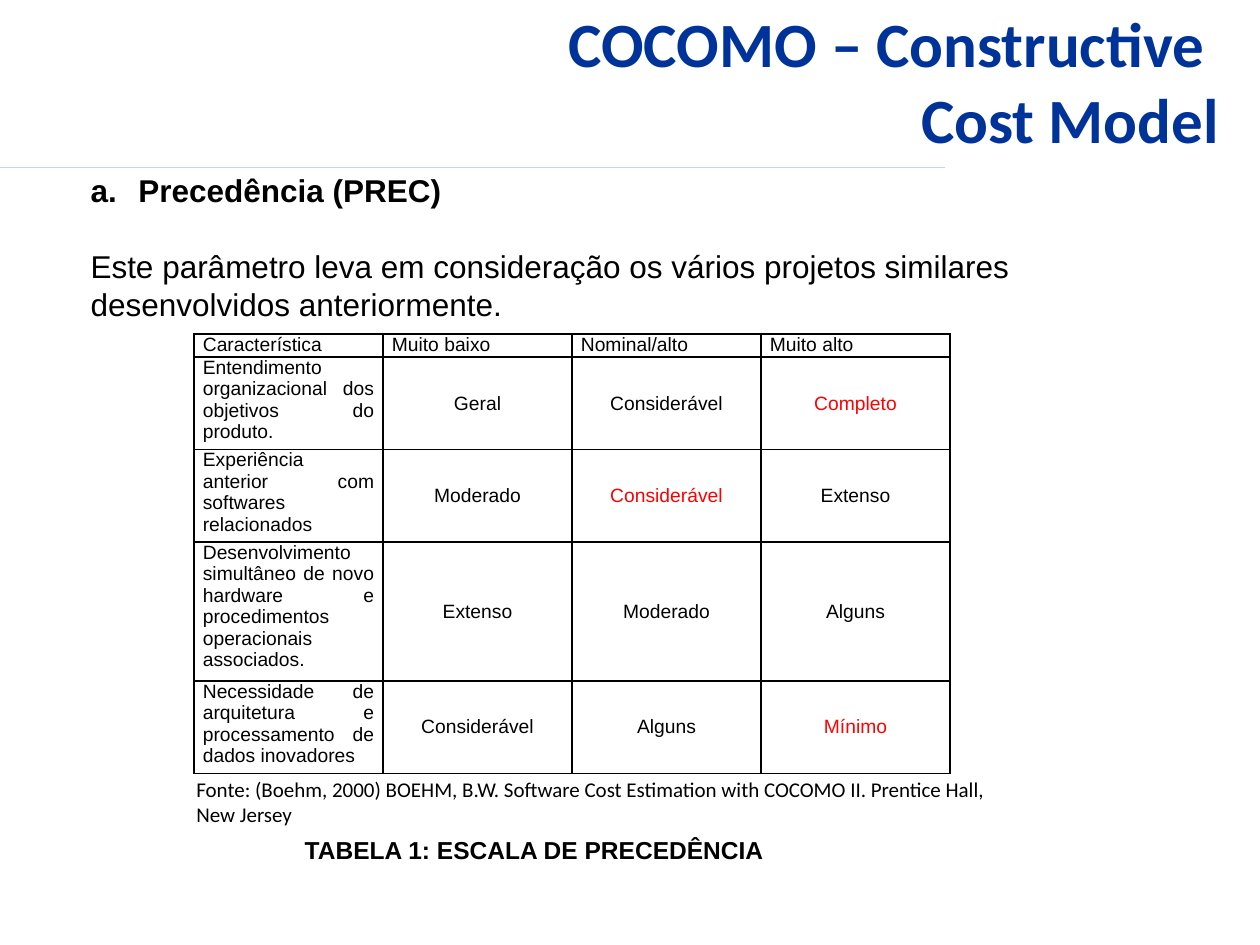
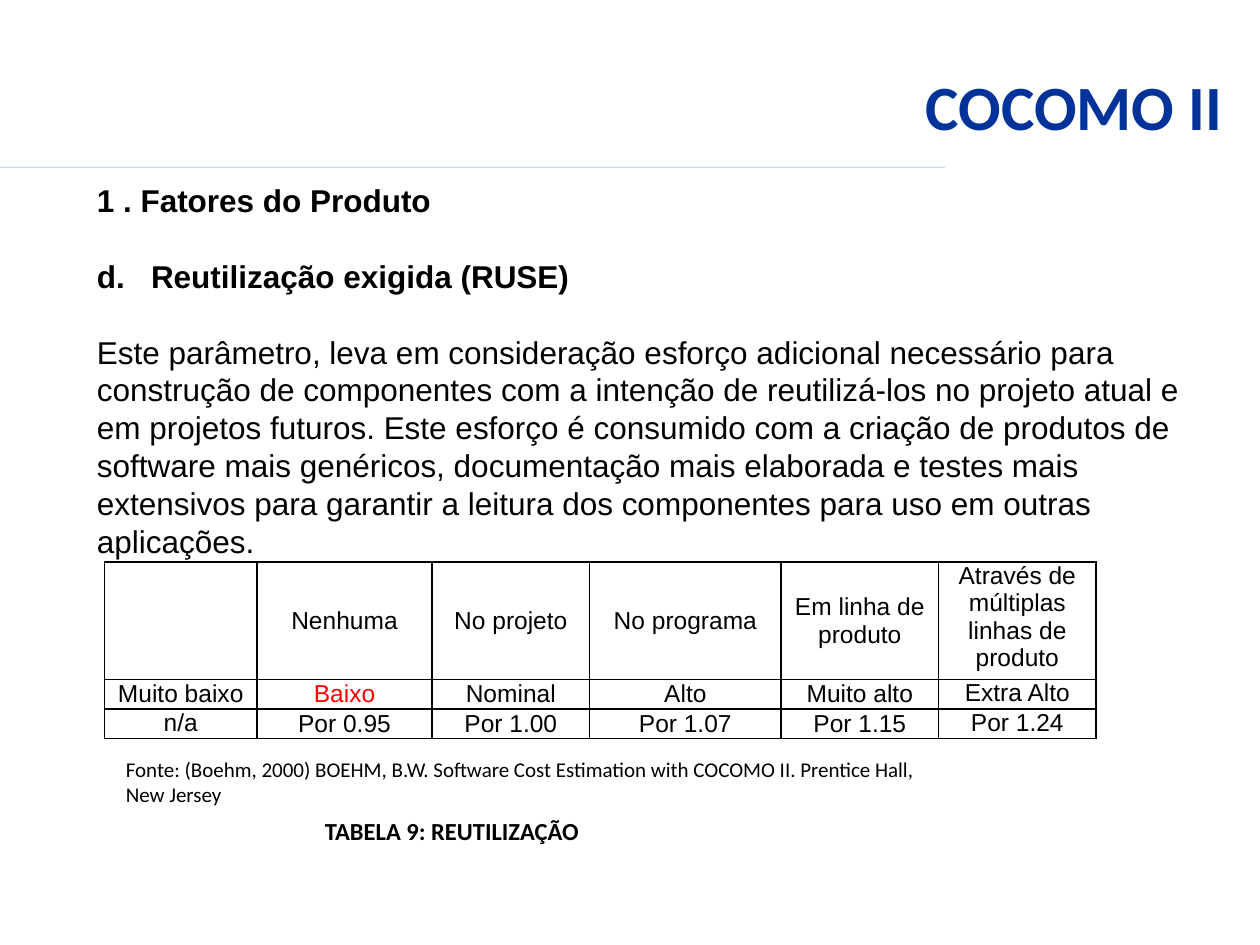
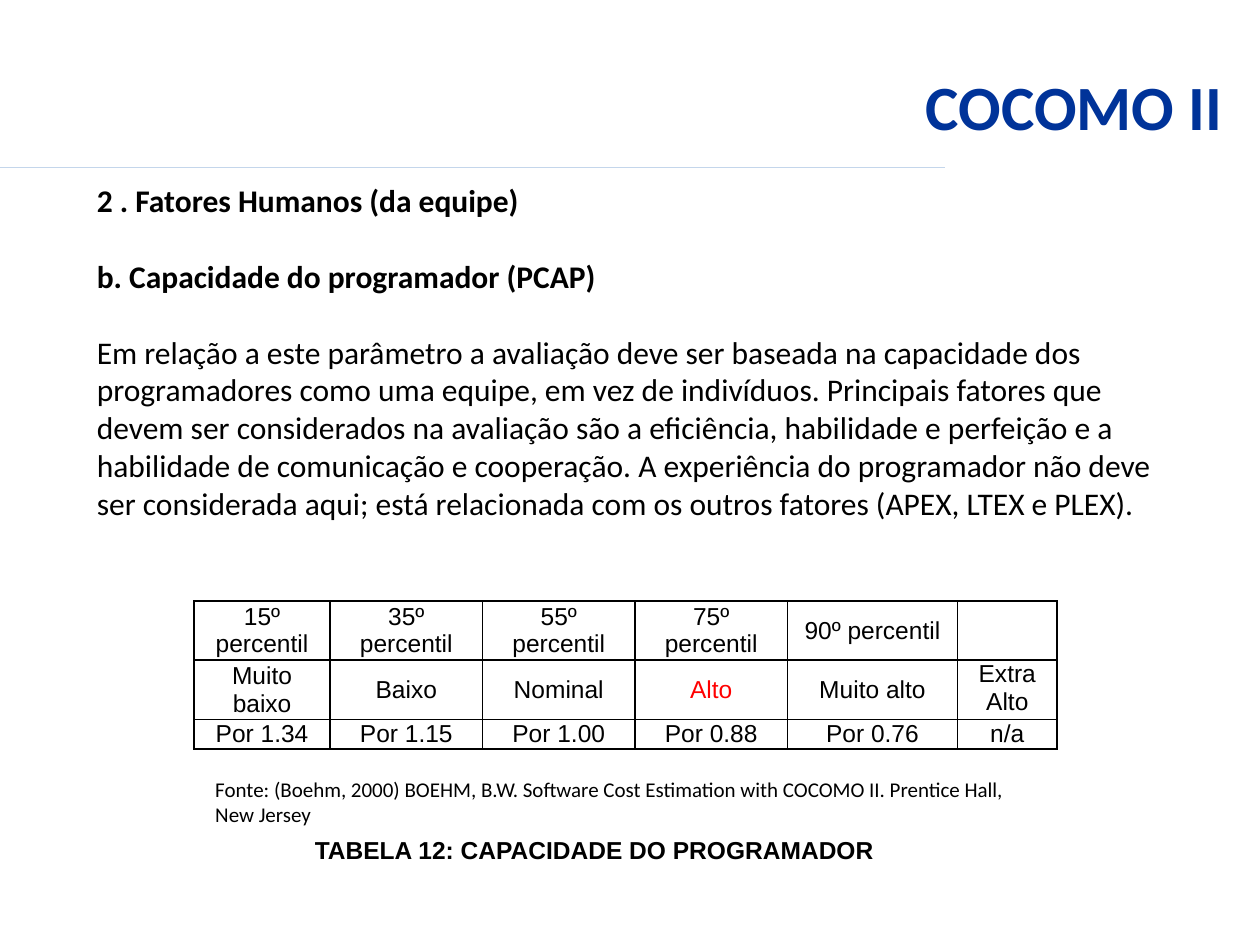
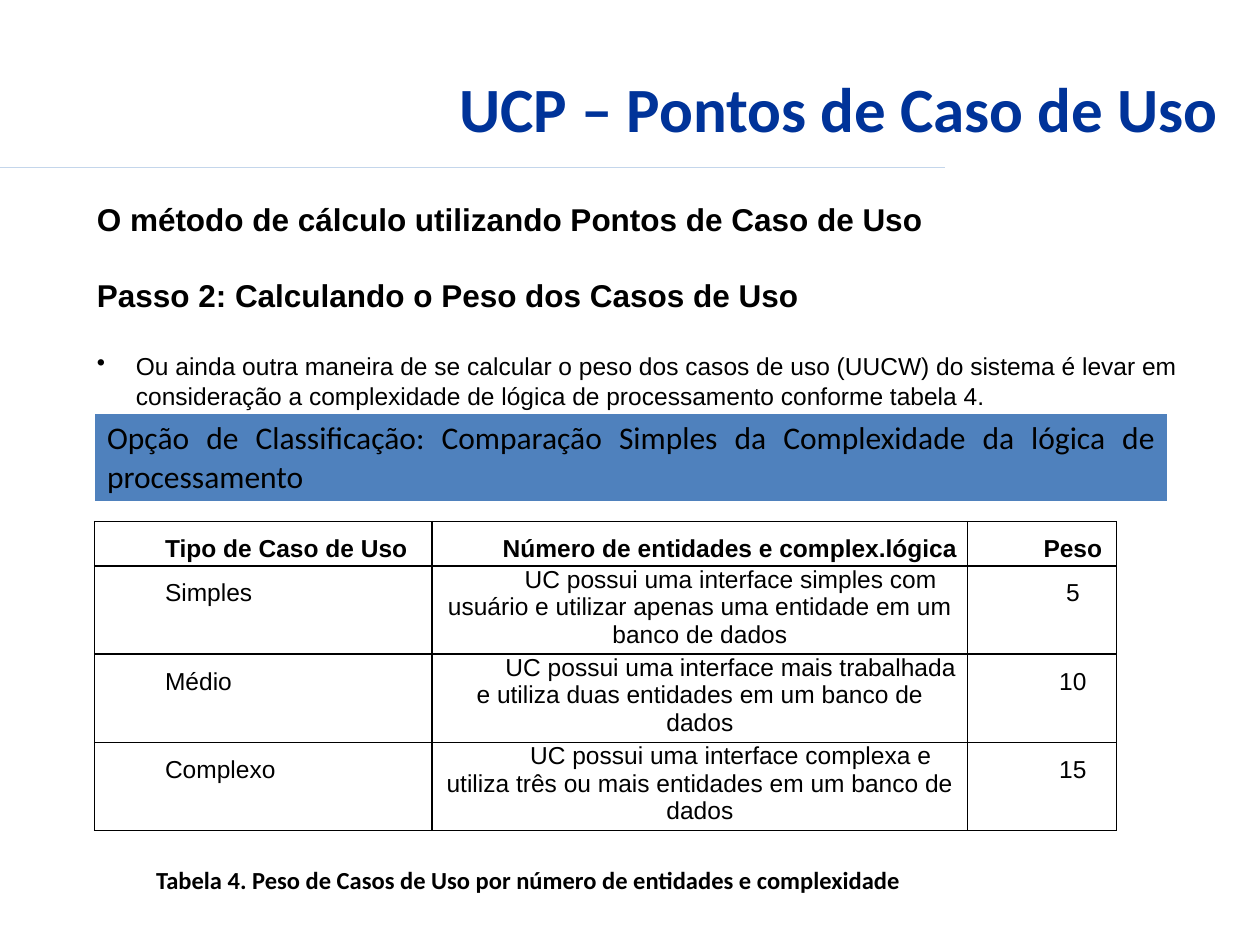
from lxml import etree
from pptx import Presentation, util as u
from pptx.dml.color import RGBColor
from pptx.enum import shapes, text
from pptx.oxml import ns

# Shared look
WIDTH, HEIGHT = 10, 7.5
BLACK, WHITE, RED = "000000", "FFFFFF", "FF0000"
TITLE_BLUE, RULE_BLUE, BAND_BLUE = "003399", "C4D6EB", "4F81BD"
LEFT, CENTER = text.PP_ALIGN.LEFT, text.PP_ALIGN.CENTER
RIGHT, JUSTIFY = text.PP_ALIGN.RIGHT, text.PP_ALIGN.JUSTIFY
TOP, MIDDLE = text.MSO_ANCHOR.TOP, text.MSO_ANCHOR.MIDDLE
LEADING = 1.2
FIRST_LINE = 0.49
REFERENCE = ("Fonte: (Boehm, 2000) BOEHM, B.W. Software Cost Estimation with "
             "COCOMO II. Prentice Hall, New Jersey")


# Cell layout rules: (row, column) -> alignment, anchor, first-line indent, spacing
def scale_cell(row, col):
    if row == 0 or col == 0:
        return JUSTIFY, TOP, 0, 1
    return CENTER, MIDDLE, 0, 1


def reuse_cell(row, col):
    return CENTER, TOP if col == 5 or (row, col) == (2, 0) else MIDDLE, 0, 1


def programmer_cell(row, col):
    return CENTER, TOP if (row, col) == (1, 5) else MIDDLE, 0, 1


def weight_cell(row, col):
    description = row > 0 and col == 1
    align = CENTER if description or col == 2 else LEFT
    return align, TOP, FIRST_LINE, 1 if description else 1.5


def band_cell(row, col):
    return JUSTIFY, TOP, 0, 1


# Content: body paragraphs are (text, options); boxes are (left, top, width, height)
BOLD = {"bold": True}
SLIDES = [
    {
        "title": ["COCOMO – Constructive ", "Cost Model"],
        "title_at": (0.52, 0.28, 9.25, 0.71),
        "body_at": (0.62, 1.31, 8.82, 1.92), "font": "Arial",
        "body": [
            ("Precedência (PREC)",
             {"bold": True, "hang": 0.38, "bullet": ("buAutoNum", "type", "alphaLcPeriod")}),
            ("Este parâmetro leva em consideração os vários projetos similares "
             "desenvolvidos anteriormente.", {}),
        ],
        "tables": [{
            "at": (1.54, 2.65), "cols": [1.5] * 4,
            "rows": [0.18, 0.73, 0.73, 1.1, 0.73],
            "size": 11, "rule": scale_cell, "red": {(1, 3), (2, 2), (4, 3)},
            "cells": [
                ["Característica", "Muito baixo", "Nominal/alto", "Muito alto"],
                ["Entendimento organizacional dos objetivos do produto.",
                 "Geral", "Considerável", "Completo"],
                ["Experiência anterior com softwares relacionados",
                 "Moderado", "Considerável", "Extenso"],
                ["Desenvolvimento simultâneo de novo hardware e procedimentos "
                 "operacionais associados.", "Extenso", "Moderado", "Alguns"],
                ["Necessidade de arquitetura e processamento de dados inovadores",
                 "Considerável", "Alguns", "Mínimo"],
            ],
        }],
        "caption": ("TABELA 1: ESCALA DE PRECEDÊNCIA", "Arial", (2.32, 6.58, 3.92, 0.34)),
        "reference_at": (1.46, 6.11),
    },
    {
        "title": ["COCOMO II"], "title_at": (0.66, 0.21, 9.14, 1.25),
        "body_at": (0.67, 1.39, 8.82, 3.13), "font": "Arial",
        "body": [
            ("1 . Fatores do Produto", BOLD),
            ("d.\tReutilização exigida (RUSE)", {"bold": True, "hang": 0.43}),
            ("Este parâmetro, leva em consideração esforço adicional necessário para "
             "construção de componentes com a intenção de reutilizá-los no projeto atual "
             "e em projetos futuros. Este esforço é consumido com a criação de produtos "
             "de software mais genéricos, documentação mais elaborada e testes mais "
             "extensivos para garantir a leitura dos componentes para uso em outras "
             "aplicações.", {}),
        ],
        "tables": [{
            "at": (0.83, 4.46), "cols": [1.21, 1.39, 1.25, 1.52, 1.25, 1.25],
            "rows": [0.93, 0.23, 0.23],
            "size": 14, "rule": reuse_cell, "red": {(1, 1)},
            "cells": [
                ["", "Nenhuma", "No projeto", "No programa", "Em linha de produto",
                 "Através de múltiplas linhas de produto"],
                ["Muito baixo", "Baixo", "Nominal", "Alto", "Muito alto", "Extra Alto"],
                ["n/a", "Por 0.95", "Por 1.00", "Por 1.07", "Por 1.15", "Por 1.24"],
            ],
        }],
        "caption": ("TABELA 9: REUTILIZAÇÃO", "Calibri", (2.48, 6.43, 2.72, 0.34)),
        "reference_at": (0.9, 5.95),
    },
    {
        "title": ["COCOMO II"], "title_at": (0.66, 0.21, 9.14, 1.25),
        "body_at": (0.67, 1.39, 8.82, 3.13), "font": "Calibri",
        "body": [
            ("2 . Fatores Humanos (da equipe)", BOLD),
            ("b. Capacidade do programador (PCAP)", BOLD),
            ("Em relação a este parâmetro a avaliação deve ser baseada na capacidade dos "
             "programadores como uma equipe, em vez de indivíduos. Principais fatores que "
             "devem ser considerados na avaliação são a eficiência, habilidade e perfeição "
             "e a habilidade de comunicação e cooperação. A experiência do programador não "
             "deve ser considerada aqui; está relacionada com os outros fatores (APEX, "
             "LTEX e PLEX).", {}),
        ],
        "tables": [{
            "at": (1.54, 4.77), "cols": [1.08, 1.21, 1.21, 1.21, 1.35, 0.79],
            "rows": [0.47, 0.47, 0.23],
            "size": 14, "rule": programmer_cell, "red": {(1, 3)},
            "cells": [
                [f"{share}º percentil" for share in (15, 35, 55, 75, 90)] + [""],
                ["Muito baixo", "Baixo", "Nominal", "Alto", "Muito alto", "Extra Alto"],
                ["Por 1.34", "Por 1.15", "Por 1.00", "Por 0.88", "Por 0.76", "n/a"],
            ],
        }],
        "caption": ("TABELA 12: CAPACIDADE DO PROGRAMADOR", "Arial", (2.4, 6.58, 4.73, 0.34)),
        "reference_at": (1.61, 6.11),
    },
    {
        "title": ["UCP – Pontos de Caso de Uso "], "title_at": (0.63, 0.5, 9.25, 0.71),
        "body_at": (0.67, 1.54, 8.82, 1.78), "font": "Arial",
        "body": [
            ("O método de cálculo utilizando Pontos de Caso de Uso", BOLD),
            ("Passo 2: Calculando o Peso dos Casos de Uso", BOLD),
            ("Ou ainda outra maneira de se calcular o peso dos casos de uso (UUCW) do "
             "sistema é levar em consideração a complexidade de lógica de processamento "
             "conforme tabela 4.",
             {"size": 14, "hang": 0.31, "bullet": ("buChar", "char", "•")}),
        ],
        "tables": [
            {
                "at": (0.75, 4.14), "cols": [2.68, 4.25, 1.18],
                "rows": [0.35, 0.7, 0.7, 0.7],
                "size": 14, "rule": weight_cell, "bold_header": True, "insets": (0.07, 0),
                "cells": [
                    ["Tipo de Caso de Uso", "Número de entidades e complex.lógica", "Peso"],
                    ["Simples", "UC possui uma interface simples com usuário e utilizar "
                     "apenas uma entidade em um banco de dados", "5"],
                    ["Médio", "UC possui uma interface mais trabalhada e utiliza duas "
                     "entidades em um banco de dados", "10"],
                    ["Complexo", "UC possui uma interface complexa e utiliza três ou mais "
                     "entidades em um banco de dados", "15"],
                ],
            },
            {
                "at": (0.75, 3.28), "cols": [8.52], "rows": [0.7],
                "size": 18, "font": "Calibri", "rule": band_cell, "insets": (0.1, 0.05),
                "fill": BAND_BLUE, "border": WHITE,
                "cells": [["Opção de Classificação: Comparação Simples da Complexidade "
                           "da lógica de processamento"]],
            },
        ],
        "caption": ("Tabela 4. Peso de Casos de Uso por número de entidades e complexidade",
                    "Calibri", (1.14, 6.82, 7.09, 0.34)),
    },
]


# Helpers
def color(value):
    return RGBColor.from_string(value)


def style(paragraph, size, font="Calibri", ink=BLACK, bold=False, align=LEFT):
    paragraph.alignment = align
    for run in paragraph.runs:
        run.font.size, run.font.name, run.font.bold = u.Pt(size), font, bold
        run.font.color.rgb = color(ink)


def indent(paragraph, margin, first):
    props = paragraph._p.get_or_add_pPr()
    props.set("marL", str(u.Inches(margin)))
    props.set("indent", str(u.Inches(first)))
    return props


def add_box(slide, at, lines, anchor=TOP, wrap=True, grow=True):
    frame = slide.shapes.add_textbox(*map(u.Inches, at)).text_frame
    frame.word_wrap, frame.vertical_anchor = wrap, anchor
    if grow:
        frame.auto_size = text.MSO_AUTO_SIZE.SHAPE_TO_FIT_TEXT
    frame.text = "\n".join(lines)
    return frame.paragraphs


def add_rule(slide):
    y = u.Inches(1.33)
    rule = slide.shapes.add_connector(
        shapes.MSO_CONNECTOR.STRAIGHT, 0, y, u.Inches(WIDTH * 0.75), y)
    rule.line.color.rgb, rule.line.width = color(RULE_BLUE), u.Pt(0.75)
    etree.SubElement(rule._element.spPr, ns.qn("a:effectLst"))


def add_body(slide, at, font, content):
    paragraphs = add_box(slide, at, [line for line, _ in content])
    for index, (paragraph, (_, options)) in enumerate(zip(paragraphs, content)):
        size = options.get("size", 18)
        paragraph.line_spacing = u.Pt(size * LEADING)
        if index:
            paragraph.space_before = u.Pt(18 * LEADING)
        if "hang" in options:
            props = indent(paragraph, options["hang"], -options["hang"])
            if "bullet" in options:
                tag, key, value = options["bullet"]
                etree.SubElement(props, ns.qn("a:" + tag)).set(key, value)
        style(paragraph, size, font, bold=options.get("bold", False))


def add_borders(cell, ink):
    props = cell._tc.get_or_add_tcPr()
    for side in ("lnL", "lnR", "lnT", "lnB"):
        line = etree.SubElement(props, ns.qn("a:" + side), w=str(u.Pt(1)))
        fill = etree.SubElement(line, ns.qn("a:solidFill"))
        etree.SubElement(fill, ns.qn("a:srgbClr"), val=ink)


def add_grid(slide, at, cols, rows, cells, size, rule, font="Arial", red=(),
             insets=(0.07, 0), bold_header=False, fill=None, border=BLACK):
    extent = (*at, sum(cols), sum(rows))
    table = slide.shapes.add_table(len(rows), len(cols), *map(u.Inches, extent)).table
    table.first_row = table.horz_banding = False
    for column, width in zip(table.columns, cols):
        column.width = u.Inches(width)
    for row, height in zip(table.rows, rows):
        row.height = u.Inches(height)
    for r, words in enumerate(cells):
        for c, word in enumerate(words):
            cell = table.cell(r, c)
            align, anchor, first, spacing = rule(r, c)
            cell.margin_left = cell.margin_right = u.Inches(insets[0])
            cell.margin_top = cell.margin_bottom = u.Inches(insets[1])
            cell.vertical_anchor = anchor
            add_borders(cell, border)
            if fill:
                cell.fill.solid()
                cell.fill.fore_color.rgb = color(fill)
            else:
                cell.fill.background()
            cell.text_frame.text = word
            paragraph = cell.text_frame.paragraphs[0]
            if first:
                indent(paragraph, 0, first)
            if spacing != 1:
                paragraph.line_spacing = spacing
            style(paragraph, size, font, RED if (r, c) in red else BLACK,
                  bold_header and r == 0, align)


def build_slide(deck, content):
    slide = deck.slides.add_slide(deck.slide_layouts[6])
    add_rule(slide)
    for line in add_box(slide, content["title_at"], content["title"], MIDDLE, grow=False):
        style(line, 36, ink=TITLE_BLUE, bold=True, align=RIGHT)
    add_body(slide, content["body_at"], content["font"], content["body"])
    for grid in content["tables"]:
        add_grid(slide, **grid)
    caption, font, at = content["caption"]
    style(add_box(slide, at, [caption], wrap=False)[0], 14, font, bold=True)
    if "reference_at" in content:
        at = (*content["reference_at"], 6.61, 0.51)
        style(add_box(slide, at, [REFERENCE], MIDDLE)[0], 12)


def main():
    deck = Presentation()
    deck.slide_width, deck.slide_height = u.Inches(WIDTH), u.Inches(HEIGHT)
    for content in SLIDES:
        build_slide(deck, content)
    deck.save("out.pptx")


if __name__ == "__main__":
    main()
